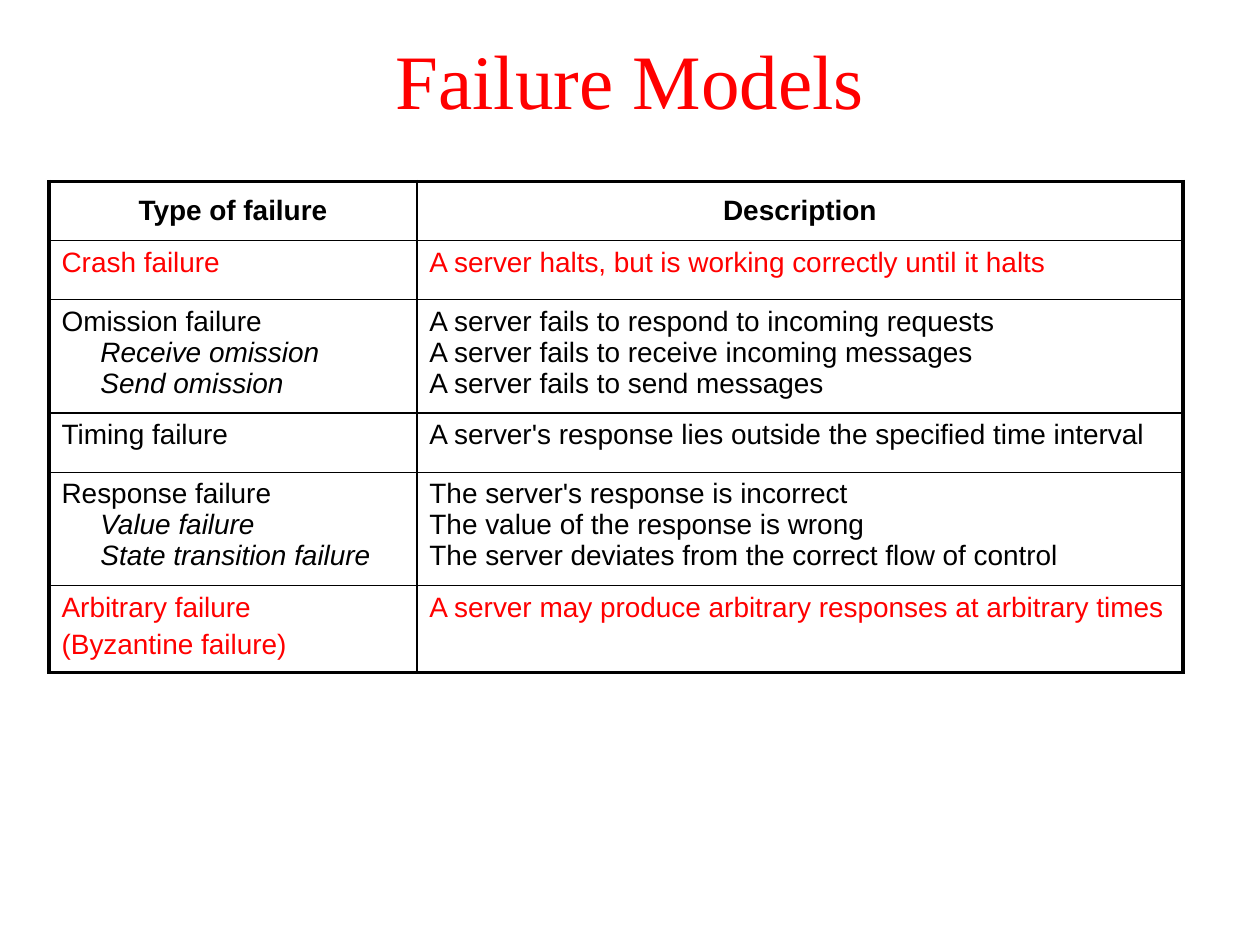
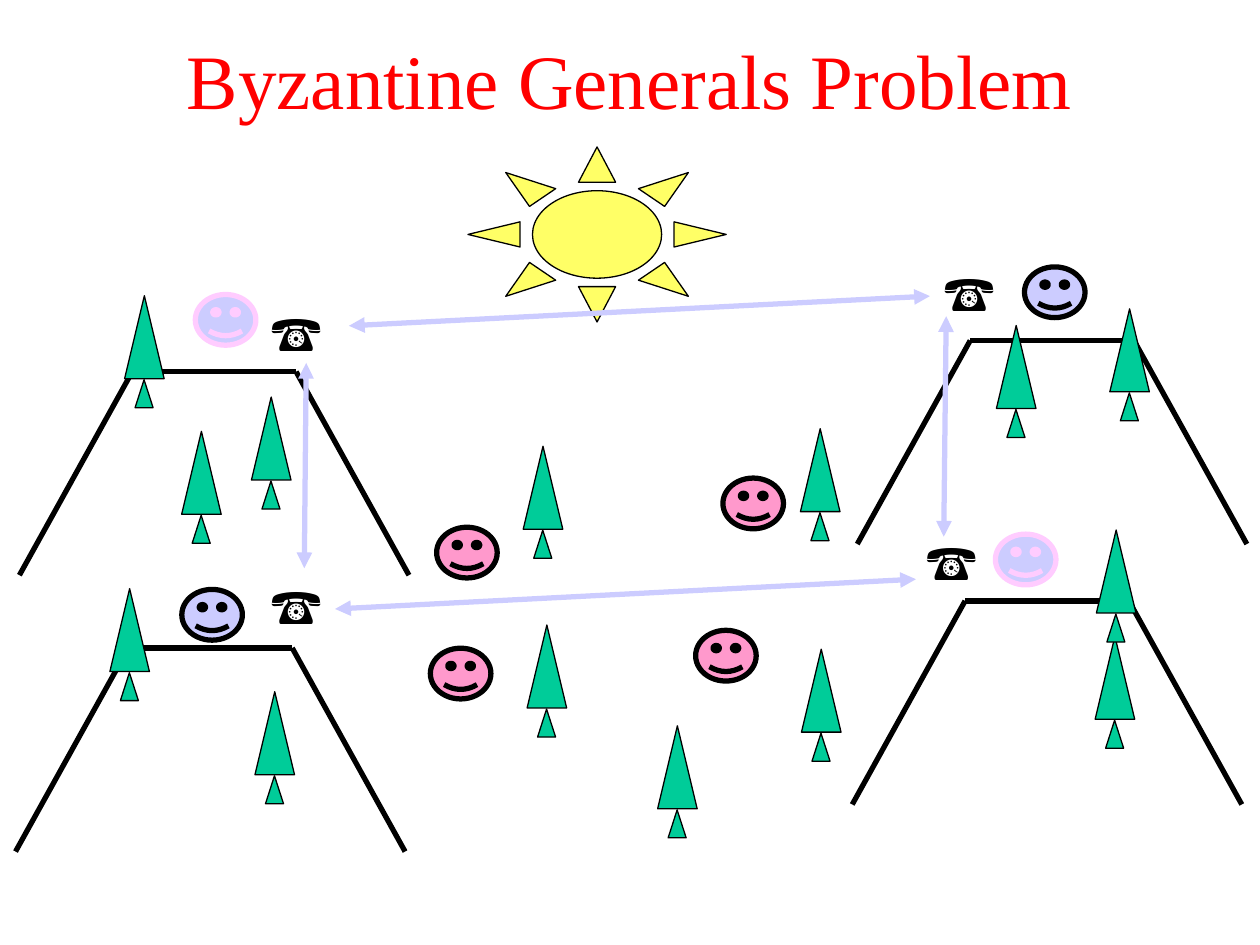
"""Build two slides on failure models and the Byzantine generals problem."""
from dataclasses import dataclass

from lxml.etree import SubElement
from pptx import Presentation
from pptx.dml.color import RGBColor
from pptx.enum.shapes import MSO_CONNECTOR, MSO_SHAPE
from pptx.enum.text import MSO_ANCHOR, MSO_AUTO_SIZE, PP_ALIGN
from pptx.oxml.ns import qn
from pptx.util import Pt


@dataclass(frozen=True)
class Theme:
    ink: str = "000000"
    red: str = "FF0000"
    lilac: str = "CCCCFF"
    blush: str = "FFCCFF"
    pink: str = "FF99CC"
    sun: str = "FFFF66"
    green: str = "00CC99"
    serif: str = "Times New Roman"
    sans: str = "Arial"
    title: int = 44
    phone: int = 28
    body: int = 16
    bold: float = 3
    thin: float = 0.75
    frame: float = 2.25
    rule: float = 1


THEME = Theme()

ROWS = [
    (33.8, THEME.red, ["Crash failure"],
     ["A server halts, but is working correctly until it halts"]),
    (64.8, THEME.ink, ["Omission failure", "Receive omission", "Send omission"],
     ["A server fails to respond to incoming requests",
      "A server fails to receive incoming messages",
      "A server fails to send messages"]),
    (33.8, THEME.ink, ["Timing failure"],
     ["A server's response lies outside the specified time interval"]),
    (64.8, THEME.ink,
     ["Response failure", "Value failure", "State transition failure"],
     ["The server's response is incorrect",
      "The value of the response is wrong",
      "The server deviates from the correct flow of control"]),
    (49.7, THEME.red, ["Arbitrary failure", "(Byzantine failure)"],
     ["A server may produce arbitrary responses at arbitrary times"]),
]
HEADS = ["Type of failure", "Description"]
HEAD_TALL = 33.8
COLS = [210.2, 437.8]

HILLS = [(551.5, 343.4), (554.4, 194.6), (73.4, 370.3), (75.6, 212.4)]
FACES = [
    (111.6, 168.3, THEME.lilac, THEME.blush),
    (103.9, 336.8, THEME.lilac, THEME.ink),
    (585.4, 152.5, THEME.lilac, THEME.ink),
    (568.8, 305.2, THEME.lilac, THEME.blush),
    (413.1, 273.2, THEME.pink, THEME.ink),
    (245.9, 370.4, THEME.pink, THEME.ink),
    (397.5, 360.2, THEME.pink, THEME.ink),
    (249.5, 301.3, THEME.pink, THEME.ink),
]
TREES = [
    (634.2, 176.5), (569.4, 186), (457.4, 245), (625.8, 363.6), (299, 255),
    (145.7, 395.3), (626.5, 302.9), (458, 371), (301.2, 357.2), (62.8, 336.4),
    (103.8, 246.5), (375.8, 414.8), (71.2, 169), (143.7, 226.9),
]
PHONES = [(146.9, 169.2), (531.4, 146.2), (521.3, 300.2), (146.9, 325.4)]
CALLS = [
    (199.4, 186.2, 531.4, 169.2), (191.5, 348, 523.4, 331),
    (175, 207.4, 173.9, 324.7), (540.7, 180.7, 539.3, 306.7),
]


def rgb(tint):
    return RGBColor.from_string(tint)


def set_font(para, face, size, tint, bold=False, slant=False):
    font = para.font
    font.name, font.size = face, Pt(size)
    font.bold, font.italic = bold, slant
    font.color.rgb = rgb(tint)


def add_text(slide, text, box, size, tint):
    frame = slide.shapes.add_textbox(*map(Pt, box)).text_frame
    frame.text = text
    para = frame.paragraphs[0]
    para.alignment = PP_ALIGN.CENTER
    set_font(para, THEME.serif, size, tint)
    return frame


def add_title(slide, text):
    frame = add_text(slide, text, (0, 0, 720, 90), THEME.title, THEME.red)
    frame.word_wrap = True
    frame.vertical_anchor = MSO_ANCHOR.MIDDLE


def add_phone(slide, left, top):
    frame = add_text(slide, "☎", (left, top, 44.6, 41), THEME.phone, THEME.ink)
    frame.word_wrap = False
    frame.auto_size = MSO_AUTO_SIZE.SHAPE_TO_FIT_TEXT


def add_form(shapes, kind, box, fill, edge, width):
    form = shapes.add_shape(kind, *map(Pt, box))
    form.shadow.inherit = False
    form.fill.solid()
    form.fill.fore_color.rgb = rgb(fill)
    form.line.color.rgb = rgb(edge)
    form.line.width = Pt(width)
    return form


def add_line(shapes, ends, tint, arrows=False):
    line = shapes.add_connector(MSO_CONNECTOR.STRAIGHT, *map(Pt, ends))
    line.line.color.rgb = rgb(tint)
    line.line.width = Pt(THEME.bold)
    props = line._element.spPr
    if arrows:
        for tag in ("a:headEnd", "a:tailEnd"):
            SubElement(props.find(qn("a:ln")), qn(tag), type="triangle")
    SubElement(props, qn("a:effectLst"))


def add_hill(slide, left, top):
    shapes = slide.shapes.add_group_shape().shapes
    right, base, run = left + 93.6, top + 116.3, 64.5
    add_line(shapes, (left, top, right, top), THEME.ink)
    add_line(shapes, (right, top, right + run, base), THEME.ink)
    add_line(shapes, (left, top, left - run, base), THEME.ink)


def add_tree(slide, left, top):
    shapes = slide.shapes.add_group_shape().shapes
    for box in ((left, top, 22.6, 47.4), (left + 6, top + 48, 10.3, 16)):
        add_form(shapes, MSO_SHAPE.ISOSCELES_TRIANGLE, box,
                 THEME.green, THEME.ink, THEME.thin)


def add_face(slide, left, top, fill, edge):
    face = add_form(slide.shapes, MSO_SHAPE.SMILEY_FACE, (left, top, 34.6, 29),
                    fill, edge, THEME.bold)
    face.adjustments[0] = 0.047


def set_edges(cell, outer):
    props = cell._tc.get_or_add_tcPr()
    for side in "LRTB":
        width = THEME.frame if side in outer else THEME.rule
        edge = SubElement(props, qn(f"a:ln{side}"), w=str(int(Pt(width))))
        fill = SubElement(edge, qn("a:solidFill"))
        SubElement(fill, qn("a:srgbClr"), val=THEME.ink)
    cell.fill.background()


def fill_cell(cell, lines, tint, head=False):
    frame = cell.text_frame
    frame.text = "\n".join(lines)
    cell.vertical_anchor = MSO_ANCHOR.MIDDLE if head else MSO_ANCHOR.TOP
    for para in frame.paragraphs:
        set_font(para, THEME.sans, THEME.body, tint, bold=head)
        para.alignment = PP_ALIGN.CENTER if head else PP_ALIGN.LEFT


def style_subs(cell, nested):
    for para in cell.text_frame.paragraphs[1:]:
        if nested:
            para.font.italic = True
            para._p.get_or_add_pPr().set("marL", str(int(Pt(22.2))))
        else:
            para.space_before = Pt(3.4)


def add_grid(slide):
    talls = [HEAD_TALL] + [row[0] for row in ROWS]
    box = (28, 103.7, sum(COLS), sum(talls))
    table = slide.shapes.add_table(len(talls), len(COLS), *map(Pt, box)).table
    table.first_row = table.horz_banding = False
    for col, width in zip(table.columns, COLS):
        col.width = Pt(width)
    for row, tall in zip(table.rows, talls):
        row.height = Pt(tall)
    for col, head in enumerate(HEADS):
        fill_cell(table.cell(0, col), [head], THEME.ink, head=True)
    for row, (_, tint, kinds, notes) in enumerate(ROWS, 1):
        fill_cell(table.cell(row, 0), kinds, tint)
        fill_cell(table.cell(row, 1), notes, tint)
        style_subs(table.cell(row, 0), nested=len(notes) > 1)
    last = len(talls) - 1
    for row in range(len(talls)):
        for col, side in enumerate("LR"):
            outer = side + "T" * (row == 0) + "B" * (row == last)
            set_edges(table.cell(row, col), outer)


def add_scene(slide):
    for spot in HILLS:
        add_hill(slide, *spot)
    for face in FACES:
        add_face(slide, *face)
    add_form(slide.shapes, MSO_SHAPE.SUN, (267.4, 84, 147.6, 100),
             THEME.sun, THEME.ink, THEME.thin)
    for spot in TREES:
        add_tree(slide, *spot)
    for spot in PHONES:
        add_phone(slide, *spot)
    for ends in CALLS:
        add_line(slide.shapes, ends, THEME.lilac, arrows=True)


def main():
    deck = Presentation()
    deck.slide_width, deck.slide_height = Pt(720), Pt(540)
    pages = [("Failure Models", add_grid),
             ("Byzantine Generals Problem", add_scene)]
    for title, draw in pages:
        slide = deck.slides.add_slide(deck.slide_layouts[6])
        add_title(slide, title)
        draw(slide)
    deck.save("out.pptx")


if __name__ == "__main__":
    main()
